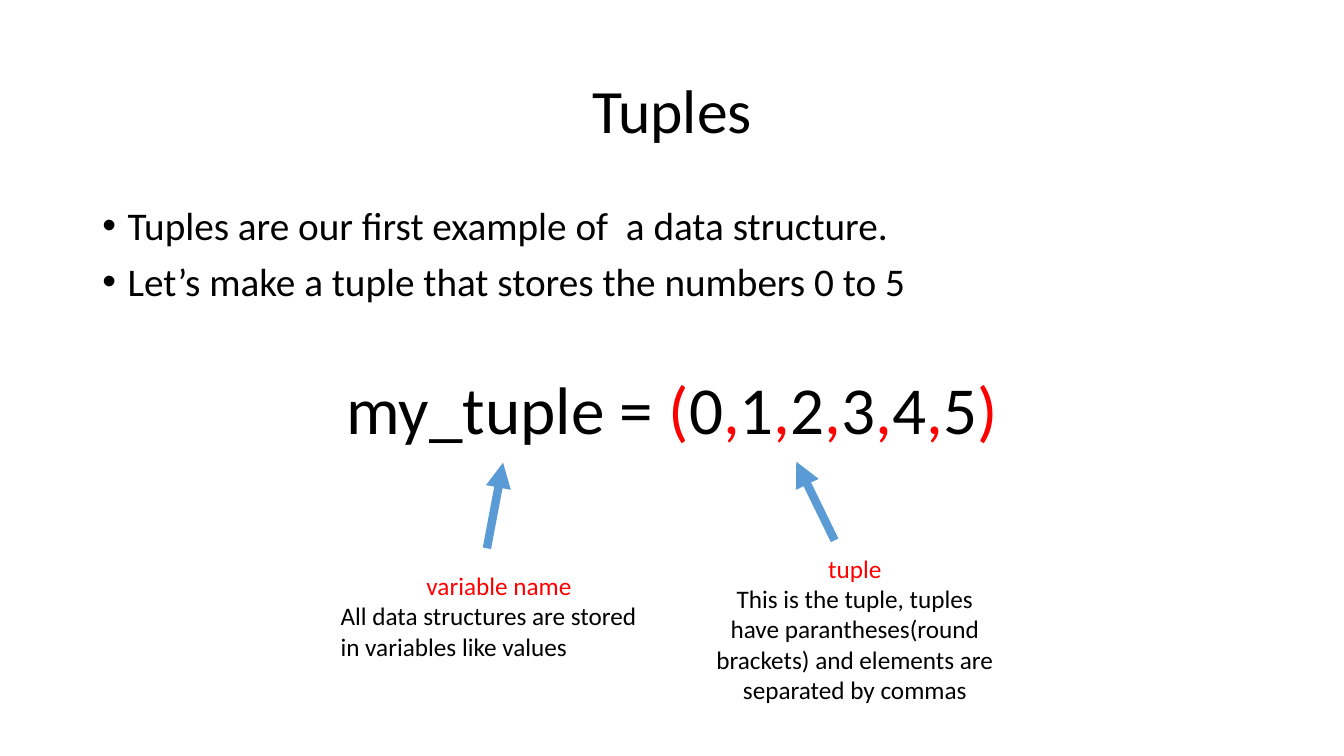
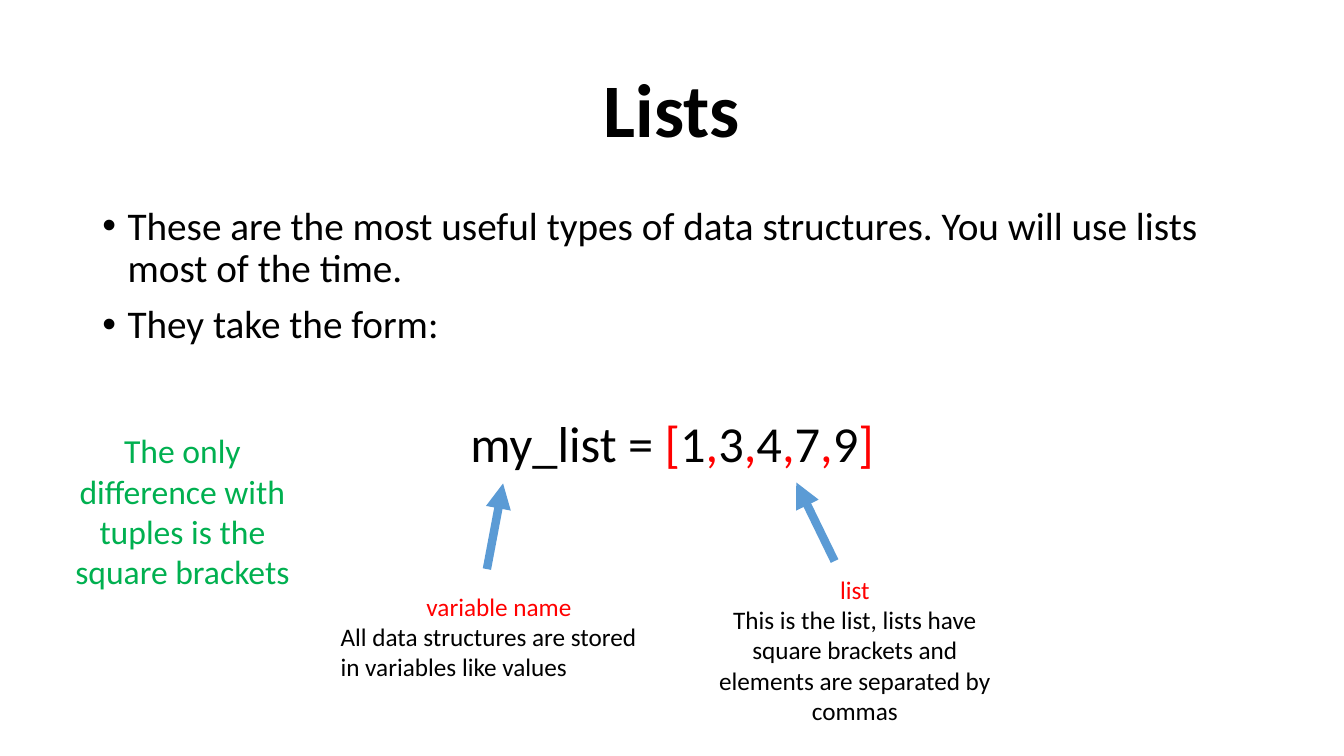
from itertools import groupby

from lxml.etree import SubElement
from pptx import Presentation
from pptx.dml.color import RGBColor
from pptx.enum.shapes import MSO_CONNECTOR
from pptx.enum.text import MSO_ANCHOR, PP_ALIGN
from pptx.oxml.ns import qn
from pptx.util import Inches, Pt

# Content
VARIABLE_NOTE = ("variable name", "All data structures are stored in variables like values")
SLIDES = [
    {
        "title": "Tuples",
        "title_style": {"size": Pt(44)},
        "bullets": ["Tuples are our first example of  a data structure.",
                    "Let’s make a tuple that stores the numbers 0 to 5"],
        "code": "my_tuple = (0,1,2,3,4,5)",
        "code_size": Pt(48),
        "notes": [VARIABLE_NOTE,
                  ("tuple", "This is the tuple, tuples have parantheses(round brackets) "
                            "and elements are separated by commas")],
        "drop": 0,
        "aside": None,
    },
    {
        "title": "Lists",
        "title_style": {"size": Pt(54), "bold": True},
        "bullets": ["These are the most useful types of data structures. "
                    "You will use lists most of the time.",
                    "They take the form:"],
        "code": "my_list = [1,3,4,7,9]",
        "code_size": Pt(36),
        "notes": [VARIABLE_NOTE,
                  ("list", "This is the list, lists have square brackets "
                           "and elements are separated by commas")],
        "drop": 2.75,
        "aside": "The only difference with tuples is the square brackets",
    },
]

# Shared style
FONT = "Calibri"
BLACK, RED, GREEN, BLUE = "000000", "FF0000", "00B050", "5B9BD5"
PUNCTUATION = "()[],"
LINE_SPACING = 0.9
BULLET_GAP, CODE_GAP = Pt(10), Pt(51)
INDENT = Inches(0.25)

# Layout in percent of the slide: left, top, width, height
TITLE_AREA = (6.88, 5.33, 86.25, 19.33)
BODY_AREA = (6.88, 26.62, 86.25, 63.47)
ASIDE_AREA = (4.65, 56.27, 17.85, 22.93)
NOTE_PLACES = [
    {"area": (24.6, 74.8, 25.05, 13.47), "align": PP_ALIGN.LEFT,
     "arrow": (36.23, 72.53, 37.43, 61.2)},
    {"area": (52.13, 72.53, 22.95, 21.6), "align": PP_ALIGN.CENTER,
     "arrow": (62.1, 71.47, 59.25, 61.07)},
]

deck = Presentation()
deck.slide_width, deck.slide_height = Inches(13.33), Inches(7.5)


def color(value):
    return RGBColor.from_string(value)


def place(percents, drop=0):
    """Turn alternating x and y percents into slide lengths."""
    sides = (deck.slide_width, deck.slide_height) * 2
    return [int(side * percent / 100) for side, percent in zip(sides, percents)]


def lower(percents, drop, rows):
    return [value + drop if index in rows else value
            for index, value in enumerate(percents)]


def add_box(page, area, anchor=MSO_ANCHOR.TOP):
    frame = page.shapes.add_textbox(*place(area)).text_frame
    frame.word_wrap = True
    frame.vertical_anchor = anchor
    return frame


def add_para(frame, **formats):
    first = frame.paragraphs[0]
    para = frame.add_paragraph() if first.runs else first
    for name, value in formats.items():
        setattr(para, name, value)
    return para


def add_span(para, text, fill=BLACK, **formats):
    span = para.add_run()
    span.text = text
    span.font.color.rgb = color(fill)
    for name, value in {"name": FONT, **formats}.items():
        setattr(span.font, name, value)


def add_bullet(para):
    properties = para._p.get_or_add_pPr()
    properties.set("marL", str(INDENT))
    properties.set("indent", str(-INDENT))
    SubElement(properties, qn("a:buFont"), typeface="Arial")
    SubElement(properties, qn("a:buChar"), char="•")


def add_arrow(page, points):
    arrow = page.shapes.add_connector(MSO_CONNECTOR.STRAIGHT, *place(points))
    arrow.line.color.rgb = color(BLUE)
    arrow.line.width = Pt(6)
    SubElement(arrow.line._get_or_add_ln(), qn("a:tailEnd"), type="triangle")
    SubElement(arrow._element.spPr, qn("a:effectLst"))


for content in SLIDES:
    page = deck.slides.add_slide(deck.slide_layouts[6])

    # Title
    title = add_box(page, TITLE_AREA, MSO_ANCHOR.MIDDLE)
    para = add_para(title, alignment=PP_ALIGN.CENTER, line_spacing=LINE_SPACING)
    add_span(para, content["title"], **content["title_style"])

    # Bullets, then the code line with its punctuation in red
    body = add_box(page, BODY_AREA)
    for bullet in content["bullets"]:
        para = add_para(body, line_spacing=LINE_SPACING, space_before=BULLET_GAP)
        add_bullet(para)
        add_span(para, bullet, size=Pt(28))
    para = add_para(body, alignment=PP_ALIGN.CENTER, line_spacing=LINE_SPACING,
                    space_before=CODE_GAP)
    for marked, letters in groupby(content["code"], lambda letter: letter in PUNCTUATION):
        add_span(para, "".join(letters), RED if marked else BLACK, size=content["code_size"])

    # Arrows and the notes below them
    for (term, meaning), spot in zip(content["notes"], NOTE_PLACES):
        add_arrow(page, lower(spot["arrow"], content["drop"], (1, 3)))
        note = add_box(page, lower(spot["area"], content["drop"], (1,)))
        add_span(add_para(note, alignment=PP_ALIGN.CENTER), term, RED, size=Pt(18))
        add_span(add_para(note, alignment=spot["align"]), meaning, size=Pt(18))

    # Remark at the side
    if content["aside"]:
        aside = add_box(page, ASIDE_AREA)
        para = add_para(aside, alignment=PP_ALIGN.CENTER)
        add_span(para, content["aside"], GREEN, size=Pt(24))

deck.save("out.pptx")
